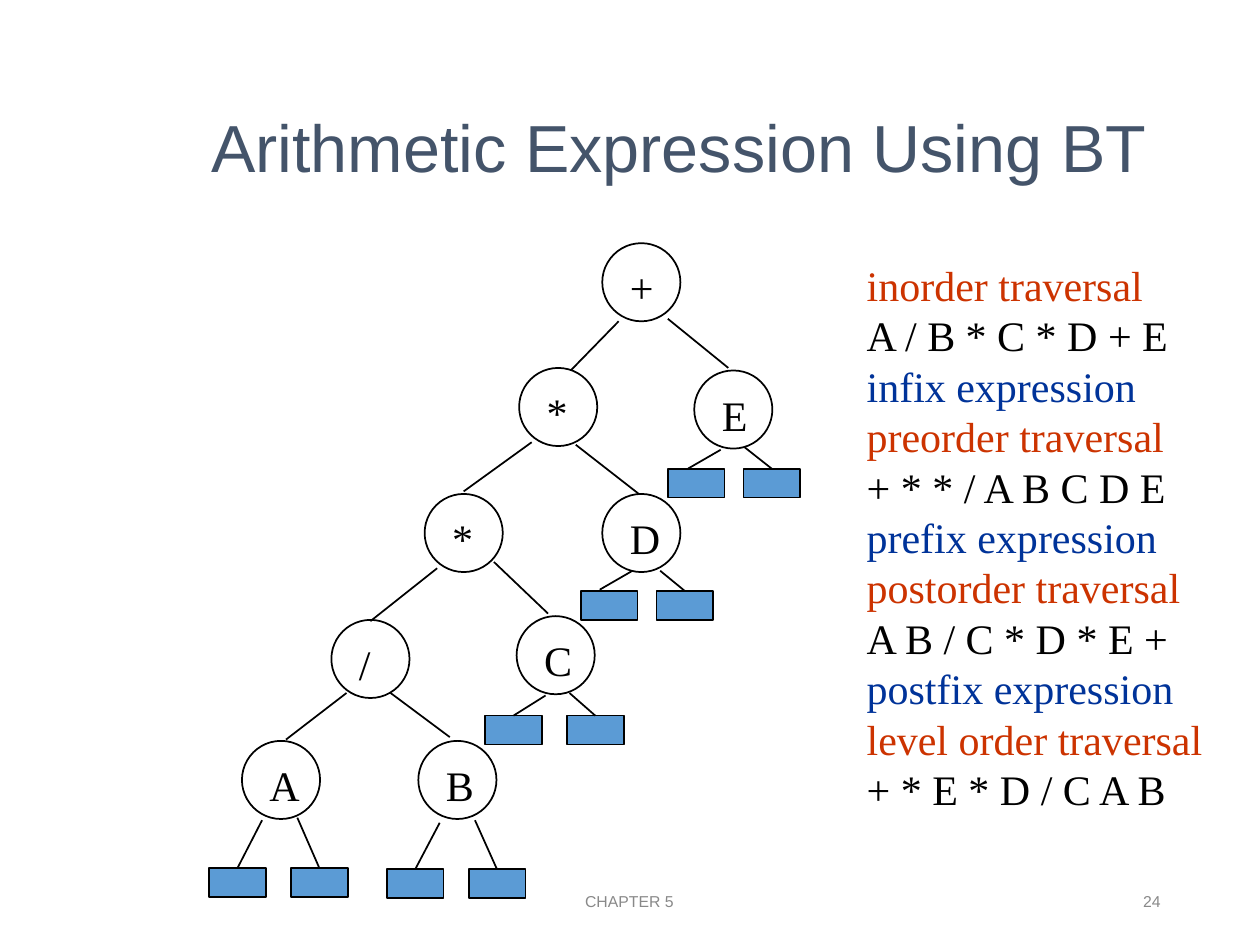
from lxml import etree
from pptx import Presentation
from pptx import util as u
from pptx.dml.color import RGBColor
from pptx.enum import shapes, text
from pptx.oxml.ns import qn

THEME = {
    "sans": "Arial", "serif": "Times New Roman",
    "title": "44546A", "footer": "898989", "ink": "000000", "leaf": "5B9BD5",
    "traversal": "CC3300", "expression": "003399",
    "title_size": 38, "footer_size": 9, "body_size": 24, "body_spacing": 28.8, "line": 1,
}
NODE = 0.62
LABEL_INSET = (0.12, 0.1)
LEAF = (0.45, 0.23)
JOIN_REACH = 0.03

TITLE = "Arithmetic Expression Using BT"
CHAPTER, PAGE = "CHAPTER 5", "24"

NODES = [
    ("+", 4.78, 1.93, 0.39), ("*", 4.12, 2.92, 0.37), ("A", 1.92, 5.88, 0.44),
    ("*", 3.37, 3.92, 0.37), ("/", 2.63, 4.92, 0.29), ("E", 5.51, 2.94, 0.41),
    ("D", 4.78, 3.92, 0.44), ("C", 4.10, 4.89, 0.42), ("B", 3.32, 5.88, 0.42),
]
BRANCHES = [
    (4.91, 2.55, 4.53, 2.94), (5.30, 2.53, 5.78, 2.92),
    (4.22, 3.51, 3.68, 3.90), (4.57, 3.53, 5.07, 3.92),
    (3.47, 4.51, 2.94, 4.93), (3.92, 4.46, 4.35, 4.87),
    (2.75, 5.50, 2.27, 5.87), (3.10, 5.50, 3.57, 5.85),
]
LEAVES = [
    (1.66, 6.89, (2.08, 6.51, 1.87, 6.88)), (2.31, 6.89, (2.36, 6.49, 2.54, 6.88)),
    (3.07, 6.90, (3.49, 6.53, 3.29, 6.90)), (3.72, 6.90, (3.77, 6.51, 3.96, 6.90)),
    (3.85, 5.68, (4.33, 5.52, 4.07, 5.67)), (4.50, 5.68, (4.52, 5.50, 4.74, 5.67)),
    (4.61, 4.69, (5.02, 4.53, 4.76, 4.68)), (5.21, 4.69, (5.24, 4.53, 5.46, 4.70)),
    (5.30, 3.72, (5.72, 3.57, 5.46, 3.72)), (5.90, 3.72, (5.91, 3.55, 6.13, 3.72)),
]
ORDERS = [
    ("inorder traversal", "traversal"), ("A / B * C * D + E", "ink"),
    ("infix expression", "expression"),
    ("preorder traversal", "traversal"), ("+ * * / A B C D E", "ink"),
    ("prefix expression", "expression"),
    ("postorder traversal", "traversal"), ("A B / C * D * E +", "ink"),
    ("postfix expression", "expression"),
    ("level order traversal", "traversal"), ("+ * E * D / C A B", "ink"),
]


def color(name):
    return RGBColor.from_string(THEME[name])


def inches(*lengths):
    return [u.Inches(length) for length in lengths]


def style_line(line):
    line.color.rgb = color("ink")
    line.width = u.Pt(THEME["line"])


def add_text(parent, place, lines, font, size, align=text.PP_ALIGN.LEFT,
             anchor=text.MSO_ANCHOR.TOP, wrap=True, spacing=None):
    frame = parent.add_textbox(*inches(*place)).text_frame
    frame.word_wrap = wrap
    frame.vertical_anchor = anchor
    if not wrap:
        frame.auto_size = text.MSO_AUTO_SIZE.SHAPE_TO_FIT_TEXT
    for index, (words, hue) in enumerate(lines):
        paragraph = frame.paragraphs[0] if index == 0 else frame.add_paragraph()
        paragraph.text = words
        paragraph.alignment = align
        if spacing:
            paragraph.line_spacing = u.Pt(spacing)
        paragraph.font.name = THEME[font]
        paragraph.font.size = u.Pt(THEME[size])
        paragraph.font.color.rgb = color(hue)


def add_body(parent, place, lines):
    add_text(parent, place, lines, "serif", "body_size", wrap=False,
             spacing=THEME["body_spacing"])


def add_outline(parent, kind, place, fill=None):
    outline = parent.add_shape(kind, *inches(*place))
    outline.shadow.inherit = False
    if fill:
        outline.fill.solid()
        outline.fill.fore_color.rgb = color(fill)
    else:
        outline.fill.background()
    style_line(outline.line)
    return outline


def add_branch(parent, ends):
    branch = parent.add_connector(shapes.MSO_CONNECTOR.STRAIGHT, *inches(*ends))
    style_line(branch.line)
    etree.SubElement(branch._element.spPr, qn("a:effectLst"))
    return branch


def add_node(parent, label, left, top, label_width):
    node = parent.add_group_shape().shapes
    add_outline(node, shapes.MSO_SHAPE.OVAL, (left, top, NODE, NODE))
    dx, dy = LABEL_INSET
    add_body(node, (left + dx, top + dy, label_width, 0.5), [(label, "ink")])


def add_leaf(parent, left, top, ends):
    leaf = add_outline(parent, shapes.MSO_SHAPE.RECTANGLE, (left, top, *LEAF), "leaf")
    branch = add_branch(parent, ends)
    if abs(left + LEAF[0] / 2 - ends[2]) < JOIN_REACH:
        branch.end_connect(leaf, 0)


def main():
    deck = Presentation()
    deck.slide_width, deck.slide_height = inches(10, 7.5)
    parts = deck.slides.add_slide(deck.slide_layouts[6]).shapes

    middle = text.MSO_ANCHOR.MIDDLE
    center, right = text.PP_ALIGN.CENTER, text.PP_ALIGN.RIGHT
    add_text(parts, (3.31, 6.95, 3.37, 0.4), [(CHAPTER, "footer")],
             "sans", "footer_size", center, middle)
    add_text(parts, (7.06, 6.95, 2.25, 0.4), [(PAGE, "footer")],
             "sans", "footer_size", right, middle)
    add_text(parts, (0.38, 0.53, 10.02, 1.25), [(TITLE, "title")],
             "sans", "title_size", center, middle)

    for node in NODES:
        add_node(parts, *node)
    for ends in BRANCHES:
        add_branch(parts, ends)
    for leaf in LEAVES:
        add_leaf(parts, *leaf)
    add_body(parts, (6.78, 2.01, 2.87, 4.5), ORDERS)

    deck.save("out.pptx")


if __name__ == "__main__":
    main()
